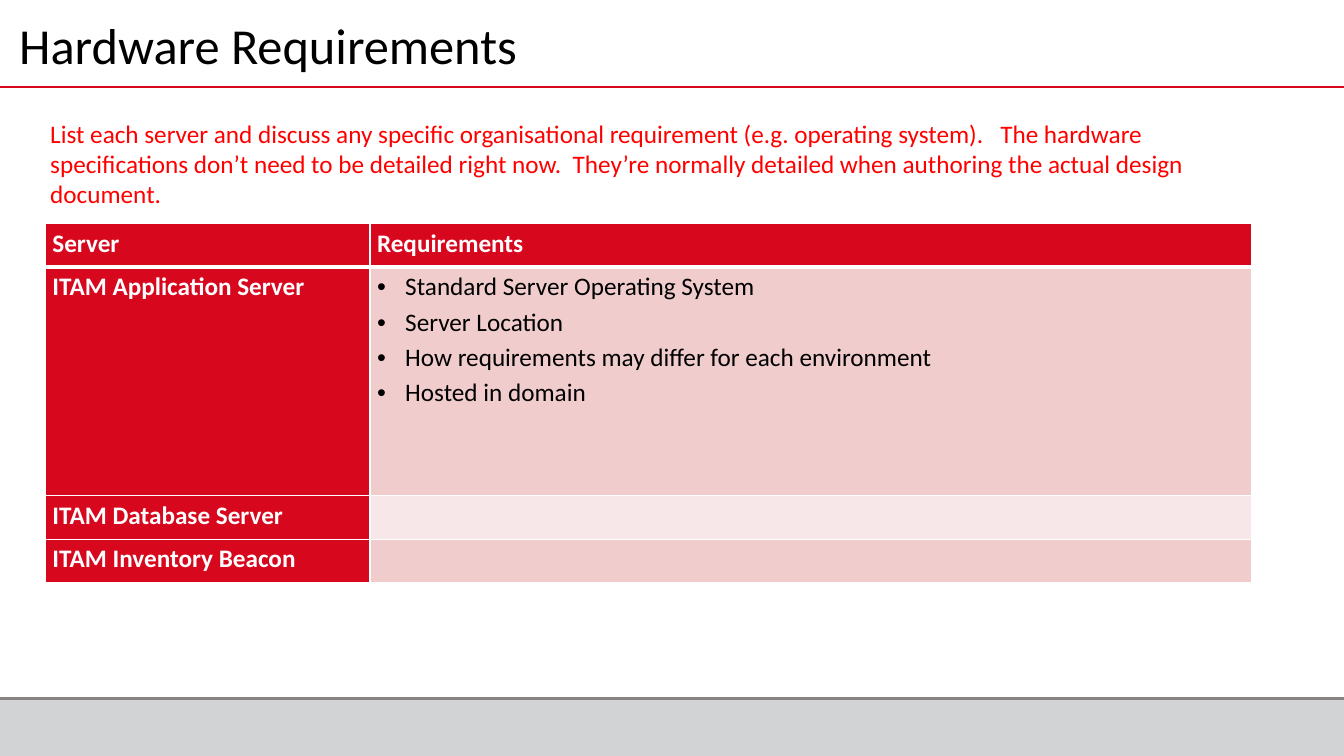
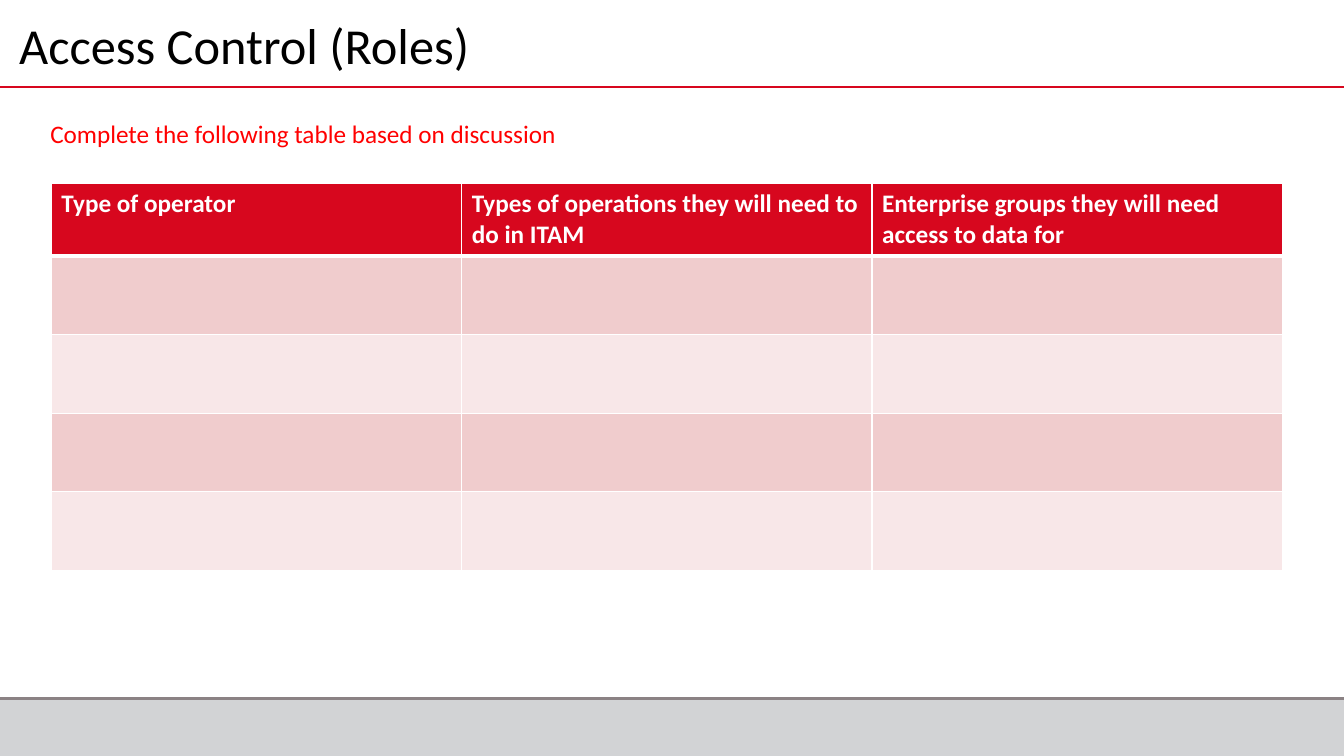
import pptx
import pptx.dml.color
import pptx.enum.shapes
import pptx.enum.text
import pptx.oxml.ns
import pptx.util
from lxml import etree

Inches = pptx.util.Inches
Pt = pptx.util.Pt
RGBColor = pptx.dml.color.RGBColor
qn = pptx.oxml.ns.qn

RED = RGBColor(0xD7, 0x07, 0x1E)
NOTE_RED = RGBColor(0xFF, 0x00, 0x00)
DARK_PINK = RGBColor(0xF0, 0xCC, 0xCD)
PALE_PINK = RGBColor(0xF8, 0xE7, 0xE8)
BAND_GREY = RGBColor(0xD2, 0xD3, 0xD5)
RULE_GREY = RGBColor(0x8B, 0x82, 0x84)
WHITE = RGBColor(0xFF, 0xFF, 0xFF)
BLACK = RGBColor(0x00, 0x00, 0x00)
FONT = "Calibri"
WIDTH = 13.33

pages = [
    {
        "title": "Hardware Requirements",
        "prompt": "List each server and discuss any specific organisational requirement "
                  "(e.g. operating system).   The hardware specifications don’t need to be "
                  "detailed right now.  They’re normally detailed when authoring the actual "
                  "design document.",
        "prompt_size": (12.07, 1.01),
        "origin": (0.45, 2.22),
        "columns": [3.22, 8.74],
        "heights": [0.43, 2.27, 0.43, 0.43],
        "cells": [
            ["Server", "Requirements"],
            ["ITAM Application Server",
             "Standard Server Operating System\nServer Location\n"
             "How requirements may differ for each environment\nHosted in domain"],
            ["ITAM Database Server", ""],
            ["ITAM Inventory Beacon", ""],
        ],
        "row_headings": True,
    },
    {
        "title": "Access Control (Roles)",
        "prompt": "Complete the following table based on discussion",
        "prompt_size": (5.28, 0.4),
        "origin": (0.51, 1.82),
        "columns": [4.07] * 3,
        "heights": [0.72] + [0.78] * 4,
        "cells": [["Type of operator", "Types of operations they will need to do in ITAM",
                   "Enterprise groups they will need access to data for"]] + [[""] * 3] * 4,
        "row_headings": False,
    },
]


def style_runs(frame, size, color, bold=False):
    for paragraph in frame.paragraphs:
        for run in paragraph.runs:
            run.font.name = FONT
            run.font.size = Pt(size)
            run.font.bold = bold
            run.font.color.rgb = color


def add_borders(cell, row):
    """White cell borders, thicker between the heading row and the body."""
    widths = {"L": 1, "R": 1, "T": 3 if row == 1 else 1, "B": 3 if row == 0 else 1}
    properties = cell._tc.get_or_add_tcPr()
    for side, width in widths.items():
        border = etree.SubElement(properties, qn("a:ln" + side), w=str(Pt(width)))
        fill = etree.SubElement(border, qn("a:solidFill"))
        etree.SubElement(fill, qn("a:srgbClr"), val=str(WHITE))


deck = pptx.Presentation()
deck.slide_width = Inches(WIDTH)
deck.slide_height = Inches(7.5)

for page in pages:
    slide = deck.slides.add_slide(deck.slide_layouts[5])

    footer = slide.shapes.add_shape(pptx.enum.shapes.MSO_SHAPE.RECTANGLE,
                                    0, Inches(6.94), Inches(WIDTH), Inches(0.56))
    footer.shadow.inherit = False
    footer.fill.solid()
    footer.fill.fore_color.rgb = BAND_GREY
    footer.line.color.rgb = BAND_GREY
    footer.line.width = Pt(1)
    for y, color in [(6.93, RULE_GREY), (0.86, RED)]:
        rule = slide.shapes.add_connector(pptx.enum.shapes.MSO_CONNECTOR.STRAIGHT,
                                          0, Inches(y), Inches(WIDTH), Inches(y))
        rule.line.color.rgb = color
        rule.line.width = Pt(1.5)
        etree.SubElement(rule._element.spPr, qn("a:effectLst"))

    title = slide.shapes.title
    title.left, title.top = Inches(0.09), Inches(0.12)
    title.width, title.height = Inches(10.89), Inches(0.72)
    title.text_frame.text = page["title"]
    title.text_frame.vertical_anchor = pptx.enum.text.MSO_ANCHOR.MIDDLE
    title.text_frame.paragraphs[0].alignment = pptx.enum.text.PP_ALIGN.LEFT
    title.text_frame.paragraphs[0].line_spacing = 0.9
    style_runs(title.text_frame, 36, BLACK)

    width, height = page["prompt_size"]
    prompt = slide.shapes.add_textbox(Inches(0.4), Inches(1.12), Inches(width), Inches(height))
    prompt.text_frame.word_wrap = len(page["prompt"]) > 60
    prompt.text_frame.text = page["prompt"]
    style_runs(prompt.text_frame, 18, NOTE_RED)

    left, top = page["origin"]
    columns, heights = page["columns"], page["heights"]
    table = slide.shapes.add_table(len(heights), len(columns), Inches(left), Inches(top),
                                   Inches(sum(columns)), Inches(sum(heights))).table
    table.first_col = page["row_headings"]
    for column, width in zip(table.columns, columns):
        column.width = Inches(width)
    for r, texts in enumerate(page["cells"]):
        table.rows[r].height = Inches(heights[r])
        for c, text in enumerate(texts):
            cell = table.cell(r, c)
            heading = r == 0 or (page["row_headings"] and c == 0)
            add_borders(cell, r)
            cell.fill.solid()
            cell.fill.fore_color.rgb = RED if heading else (DARK_PINK if r % 2 else PALE_PINK)
            cell.text_frame.text = text
            style_runs(cell.text_frame, 18, WHITE if heading else BLACK, heading)
            if not page["row_headings"] or not text:
                continue
            cell.margin_left = cell.margin_right = Inches(0.07)
            cell.margin_top = cell.margin_bottom = 0
            for paragraph in cell.text_frame.paragraphs:
                paragraph.line_spacing = 1.15
                if heading:
                    paragraph.space_before = Pt(8)
                else:
                    properties = paragraph._p.get_or_add_pPr()
                    properties.set("marL", str(Inches(0.28)))
                    properties.set("indent", str(Inches(-0.31)))
                    etree.SubElement(properties, qn("a:buFont"), typeface="Arial")
                    etree.SubElement(properties, qn("a:buChar"), char="•")

deck.save("out.pptx")
